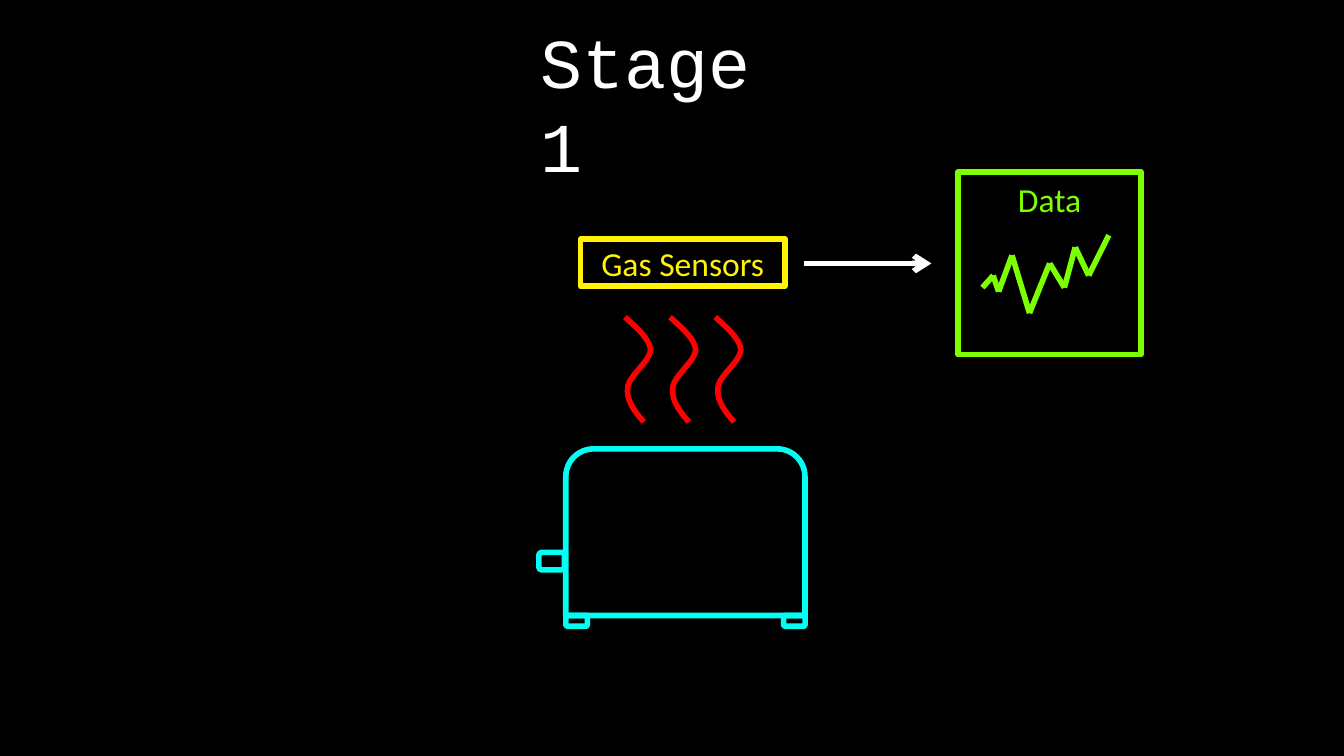
from itertools import pairwise

from pptx import Presentation
from pptx.dml.color import RGBColor
from pptx.enum.shapes import MSO_CONNECTOR as CONN, MSO_SHAPE as SHAPE
from pptx.enum.text import MSO_ANCHOR as ANCHOR, MSO_AUTO_SIZE as FIT, PP_ALIGN as ALIGN
from pptx.oxml.ns import qn
from pptx.util import Inches, Pt
from lxml import etree

COLORS = {"back": "000000", "text": "FFFFFF", "toaster": "01FFF4",
          "heat": "FE0000", "sensor": "FFF205", "data": "7CFF01"}

prs = Presentation()
prs.slide_width = Inches(10)
prs.slide_height = prs.slide_width * 9 // 16
s = prs.slides.add_slide(prs.slide_layouts[5])
s.background.fill.solid()
s.background.fill.fore_color.rgb = RGBColor.from_string(COLORS["back"])


def grid(*cells):
    """Turn square grid cells, 100 across the slide, into lengths."""
    return [round(c * prs.slide_width / 100) for c in cells]


def outline(sp, color):
    """Leave only a 3 pt line: no fill and no shadow."""
    sp.line.color.rgb = RGBColor.from_string(COLORS[color])
    sp.line.width = Pt(3)
    if hasattr(sp, "fill"):
        sp.fill.background()
    etree.SubElement(sp._element.spPr, qn("a:effectLst"))
    return sp


# Toaster: body, lever and two feet
for *box, turn in [(42.1, 33.4, 17.8, 12.4, 0), (40.4, 40.8, 1.3, 1.9, 270),
                   (42.1, 45.8, 1.6, 0.8, 180), (58.3, 45.8, 1.6, 0.8, 180)]:
    sp = s.shapes.add_shape(SHAPE.ROUND_2_SAME_RECTANGLE, *grid(*box))
    sp.rotation = turn
    outline(sp, "toaster")

# Heat waves: three equal Bezier curves, each sampled in short steps
WAVE = [[(0, 0), (0.9, 0.8), (1.8, 1.6), (1.9, 2.4)],
        [(1.9, 2.4), (1.9, 3.3), (0.2, 4.4), (0.2, 5.3)],
        [(0.2, 5.3), (0.1, 6.2), (0.7, 7), (1.4, 7.8)]]
STEPS = 12
for wave in range(3):
    left, top = 46.5 + 3.36 * wave, 23.6
    points = []
    for curve in WAVE:
        for t in (i / STEPS for i in range(1, STEPS + 1)):
            weights = (1 - t) ** 3, 3 * t * (1 - t) ** 2, 3 * t * t * (1 - t), t ** 3
            x, y = (sum(w * c for w, c in zip(weights, axis)) for axis in zip(*curve))
            points.append(grid(left + x, top + y))
    pen = s.shapes.build_freeform(*grid(left, top))
    pen.add_line_segments(points, close=False)
    outline(pen.convert_to_shape(), "heat")

# Data graph, grouped with its frame
graph = s.shapes.add_group_shape()
READINGS = [(73.1, 21.4), (73.9, 20.5), (74.3, 21.7), (75.3, 19), (76.6, 23.3),
            (78.1, 19.6), (79.2, 21.4), (80, 18.4), (81, 20.5), (82.5, 17.5)]
for start, end in pairwise(READINGS):
    outline(graph.shapes.add_connector(CONN.STRAIGHT, *grid(*start, *end)), "data")

# Labelled boxes
for shapes, text, color, box, anchor in [
        (s.shapes, "Gas Sensors", "sensor", (43.2, 17.8, 15.2, 3.5), ANCHOR.MIDDLE),
        (graph.shapes, "Data", "data", (71.3, 12.8, 13.6, 13.6), ANCHOR.TOP)]:
    sp = outline(shapes.add_shape(SHAPE.RECTANGLE, *grid(*box)), color)
    tf = sp.text_frame
    tf.text, tf.vertical_anchor = text, anchor
    p = tf.paragraphs[0]
    p.alignment = ALIGN.CENTER
    p.font.color.rgb = RGBColor.from_string(COLORS[color])
    for name, value in {"name": "Calibri", "size": Pt(18)}.items():
        setattr(p.font, name, value)

# Arrow from the sensors to the data
arrow = outline(s.shapes.add_connector(CONN.STRAIGHT, *grid(59.8, 19.6, 69.3, 19.6)), "text")
etree.SubElement(arrow.line._get_or_add_ln(), qn("a:tailEnd"), type="arrow")

# Title
title = s.shapes.title
title.left, title.top, title.width, title.height = grid(39.2, 1, 22.3, 7.3)
tf = title.text_frame
tf.text = "Stage 1"
for name, value in {"word_wrap": True, "auto_size": FIT.NONE, "vertical_anchor": ANCHOR.TOP,
                    "margin_top": Inches(0.04)}.items():
    setattr(tf, name, value)
p = tf.paragraphs[0]
p.alignment, p.line_spacing = ALIGN.LEFT, Pt(45)
p.font.color.rgb = RGBColor.from_string(COLORS["text"])
for name, value in {"name": "Courier New", "size": Pt(37.5)}.items():
    setattr(p.font, name, value)

prs.save("out.pptx")
